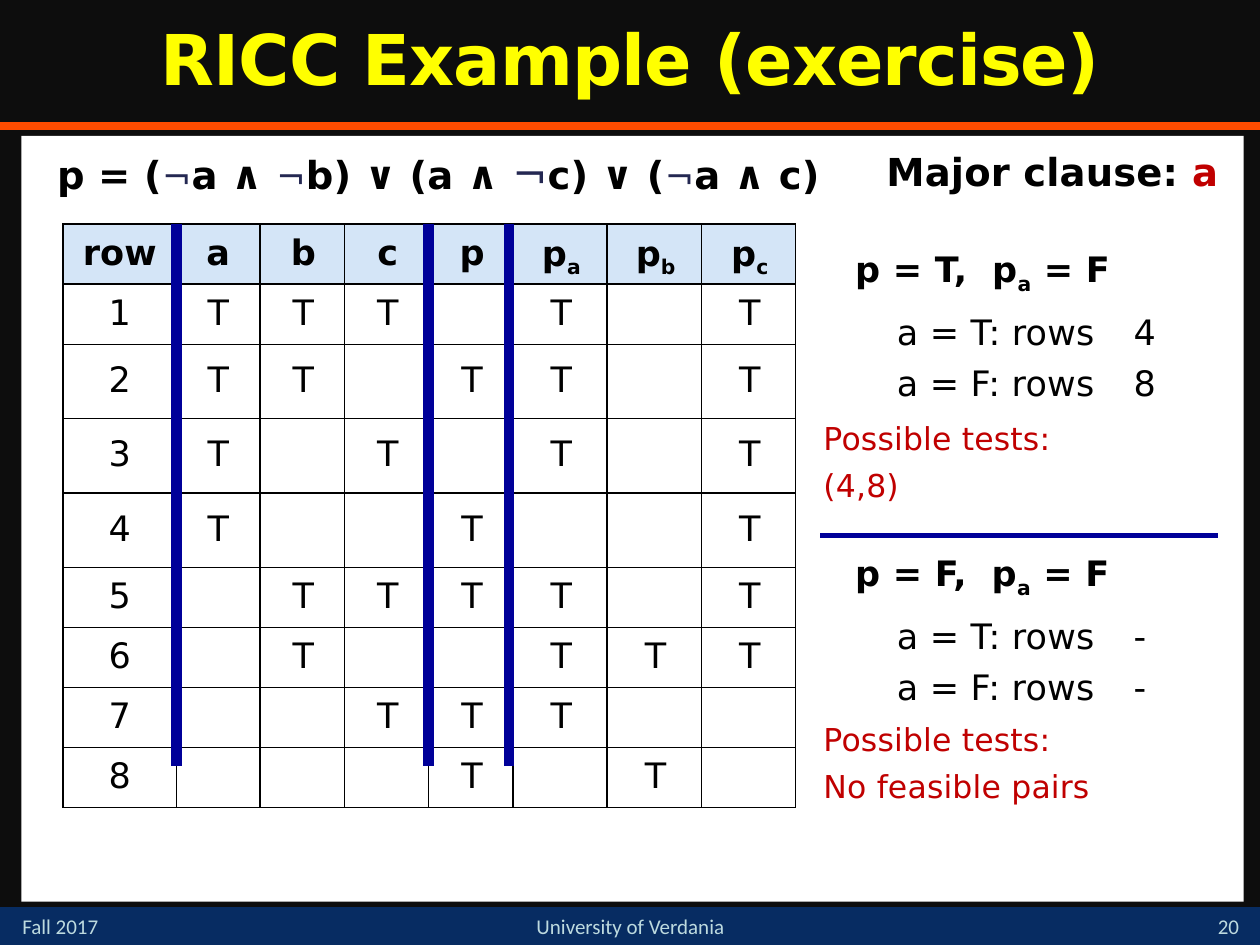
import pptx
import pptx.dml.color
import pptx.enum.shapes
import pptx.enum.text
import pptx.oxml
import pptx.oxml.ns
import pptx.util

Cm, Pt = pptx.util.Cm, pptx.util.Pt
RGBColor = pptx.dml.color.RGBColor
ALIGN = pptx.enum.text.PP_ALIGN
ANCHOR = pptx.enum.text.MSO_ANCHOR

BLACK = RGBColor(0x00, 0x00, 0x00)
WHITE = RGBColor(0xFF, 0xFF, 0xFF)
NIGHT = RGBColor(0x0D, 0x0D, 0x0D)
NAVY = RGBColor(0x07, 0x2C, 0x62)
ORANGE = RGBColor(0xFF, 0x4C, 0x00)
YELLOW = RGBColor(0xFF, 0xFF, 0x00)
PALE = RGBColor(0xBD, 0xDA, 0xDF)
HEADER = RGBColor(0xD4, 0xE5, 0xF7)
INK = RGBColor(0x24, 0x28, 0x52)
RED = RGBColor(0xC0, 0x00, 0x00)
BLUE = RGBColor(0x00, 0x00, 0x99)

# Content: a paragraph is a list of runs, a run is (text, changed format)
SUB = {"baseline": -25000}
NOT = ("¬", {"size": Pt(20), "bold": False, "color": INK})
BIG_NOT = ("¬", {"size": Pt(24), "bold": False, "color": INK})

TITLE = "RICC Example (exercise)"
PREDICATE = [("p = (", {}), NOT, ("a ∧ ", {}), NOT, ("b) ∨ (a ∧ ", {}), BIG_NOT,
             ("c) ∨ (", {}), NOT, ("a ∧ c)", {})]
MAJOR_CLAUSE = [("Major clause: ", {}), ("a", {"color": RED})]
FOOTERS = [  # text, left, top, width, height, alignment, anchor
    ("Fall 2017", 0.2, 18.29, 2.97, 0.76, ALIGN.LEFT, ANCHOR.TOP),
    ("20", 24.13, 18.21, 1.27, 0.84, ALIGN.CENTER, ANCHOR.BOTTOM),
    ("University of Verdania", 9.32, 18.29, 6.78, 0.76, ALIGN.CENTER, ANCHOR.TOP),
]
COLUMNS = ["row", "a", "b", "c", "p", "pa", "pb", "pc"]
TRUE_COLUMNS = [  # columns holding T, for rows 1 to 8
    "a b c pa pc", "a b p pa pc", "a c pa pc", "a p pc",
    "b c p pa pc", "b pa pb pc", "c p pa", "p pb",
]
CASES = [  # value of p, rows for a = T and a = F, tests, top, top of tests
    ("T", ["4", "8"], "(4,8)", 4.87, 8.33),
    ("F", ["-", "-"], "No feasible pairs", 11.0, 14.4),
]

# Geometry in cm
COLUMN_WIDTHS = [2.29, 1.68] + [1.7] * 3 + [1.9] * 3
ROW_HEIGHTS = [1.21] * 2 + [1.5] * 3 + [1.21] * 4
TABLE_LEFT, TABLE_TOP = 1.27, 4.52
DIVIDERS_X, DIVIDER_BOTTOM = [3.56, 8.64, 10.26], 15.44

# Formats
INDENT = {"marL": "18288", "indent": "0"}
BASE = {"name": "DejaVu Sans", "size": Pt(20), "bold": False, "color": BLACK}
BODY = {**BASE, "spc": 10}
HEADING = {**BODY, "bold": True}
FORMULA = {**HEADING, "size": Pt(22)}
RESULT = {**BODY, "size": Pt(18), "color": RED}
FOOTER = {**BASE, "name": "Calibri", "size": Pt(12), "color": PALE}
TITLE_FORMAT = {**BASE, "size": Pt(40), "bold": True, "color": YELLOW, "spc": -50}
TIGHT = {"line_spacing": 0.9}
SPACED = {"space_before": Pt(5)}


def write(frame, paragraphs, font, layout, indent=False):
    for index, runs in enumerate(paragraphs):
        paragraph = frame.add_paragraph() if index else frame.paragraphs[0]
        for key, value in layout.items():
            setattr(paragraph, key, value)
        if indent:
            for key, value in INDENT.items():
                paragraph._p.get_or_add_pPr().set(key, value)
        for text, changes in runs:
            run = paragraph.add_run()
            run.text = text
            for key, value in {**font, **changes}.items():
                if key == "color":
                    run.font.color.rgb = value
                elif key in ("spc", "baseline"):
                    run._r.get_or_add_rPr().set(key, str(value))
                else:
                    setattr(run.font, key, value)


def add_text(slide, box, paragraphs, font, layout, indent=True, anchor=ANCHOR.TOP):
    frame = slide.shapes.add_textbox(*map(Cm, box)).text_frame
    frame.word_wrap = True
    frame.vertical_anchor = anchor
    write(frame, paragraphs, font, layout, indent)


def add_panel(slide, box, color):
    panel = slide.shapes.add_shape(pptx.enum.shapes.MSO_SHAPE.RECTANGLE, *map(Cm, box))
    panel.shadow.inherit = False
    panel.fill.solid()
    panel.fill.fore_color.rgb = color
    panel.line.fill.background()


def add_rule(slide, ends, color, width):
    rule = slide.shapes.add_connector(
        pptx.enum.shapes.MSO_CONNECTOR.STRAIGHT, *map(Cm, ends))
    rule.line.color.rgb = color
    rule.line.width = Pt(width)
    rule._element.spPr.append(pptx.oxml.parse_xml(
        f"<a:effectLst {pptx.oxml.ns.nsdecls('a')}/>"))


def add_borders(cell):
    for side in ("lnL", "lnR", "lnT", "lnB"):
        cell._tc.get_or_add_tcPr().append(pptx.oxml.parse_xml(
            f'<a:{side} {pptx.oxml.ns.nsdecls("a")} w="12700"><a:solidFill>'
            f'<a:srgbClr val="{BLACK}"/></a:solidFill></a:{side}>'))


def add_truth_table(slide):
    table = slide.shapes.add_table(
        len(ROW_HEIGHTS), len(COLUMNS), Cm(TABLE_LEFT), Cm(TABLE_TOP),
        Cm(sum(COLUMN_WIDTHS)), Cm(sum(ROW_HEIGHTS))).table
    table.first_row = table.horz_banding = False
    for column, width in zip(table.columns, COLUMN_WIDTHS):
        column.width = Cm(width)
    for row, height in zip(table.rows, ROW_HEIGHTS):
        row.height = Cm(height)
    for r, row in enumerate(table.rows):
        for name, cell in zip(COLUMNS, row.cells):
            cell.vertical_anchor = ANCHOR.MIDDLE
            add_borders(cell)
            if r == 0:
                cell.fill.solid()
                cell.fill.fore_color.rgb = HEADER
                runs = [("p", {}), (name[1], SUB)] if len(name) == 2 else [(name, {})]
            else:
                cell.fill.background()
                if name == "row":
                    runs = [(str(r), {})]
                else:
                    runs = [("T", {})] if name in TRUE_COLUMNS[r - 1].split() else []
            write(cell.text_frame, [runs], {**BASE, "bold": r == 0},
                  {**TIGHT, "alignment": ALIGN.CENTER}, name not in ("row", "a"))


def add_case(slide, p_value, rows, tests, top, tests_top):
    add_text(slide, (16.94, top, 7.42, 1.78),
             [[(f"p = {p_value},  p", {}), ("a", SUB), (" = F", {})]], HEADING, {})
    add_text(slide, (17.78, top + 1.27, 5.08, 2.21),
             [[(f"a = {a}: rows", {})] for a in "TF"], BODY, SPACED)
    add_text(slide, (22.55, top + 1.27, 2.41, 2.21),
             [[(row, {})] for row in rows], BODY, SPACED)
    add_text(slide, (16.3, tests_top, 8.51, 2.21),
             [[("Possible tests:", {})], [(tests, {})]], RESULT, SPACED)


def main():
    deck = pptx.Presentation()
    deck.slide_width, deck.slide_height = Cm(25.4), Cm(19.05)
    slide = deck.slides.add_slide(deck.slide_layouts[5])
    slide.background.fill.solid()
    slide.background.fill.fore_color.rgb = NIGHT

    # Title and frame
    title = slide.shapes.title
    title.left, title.top, title.width, title.height = map(Cm, (0, 0, 25.4, 2.54))
    title.text_frame.auto_size = pptx.enum.text.MSO_AUTO_SIZE.NONE
    title.text_frame.vertical_anchor = ANCHOR.MIDDLE
    write(title.text_frame, [[(TITLE, {})]], TITLE_FORMAT,
          {**TIGHT, "alignment": ALIGN.CENTER})
    add_panel(slide, (0, 18.29, 25.4, 0.76), NAVY)
    add_rule(slide, (0, 2.54, 25.4, 2.54), ORANGE, 4.5)
    for text, *box, alignment, anchor in FOOTERS:
        add_text(slide, box, [[(text, {})]], FOOTER, {"alignment": alignment},
                 indent=False, anchor=anchor)
    add_panel(slide, (0.43, 2.74, 24.64, 15.44), WHITE)

    # Predicate and truth table
    add_text(slide, (0.85, 2.97, 17.17, 1.9), [PREDICATE], FORMULA, TIGHT)
    add_text(slide, (17.57, 2.97, 7.62, 1.48), [MAJOR_CLAUSE], FORMULA, TIGHT)
    add_truth_table(slide)
    for x in DIVIDERS_X:
        add_rule(slide, (x, TABLE_TOP, x, DIVIDER_BOTTOM), BLUE, 6)

    # Cases for the major clause
    for case in CASES:
        add_case(slide, *case)
    add_rule(slide, (16.54, 10.8, 24.56, 10.8), BLUE, 3)

    deck.save("out.pptx")


if __name__ == "__main__":
    main()
